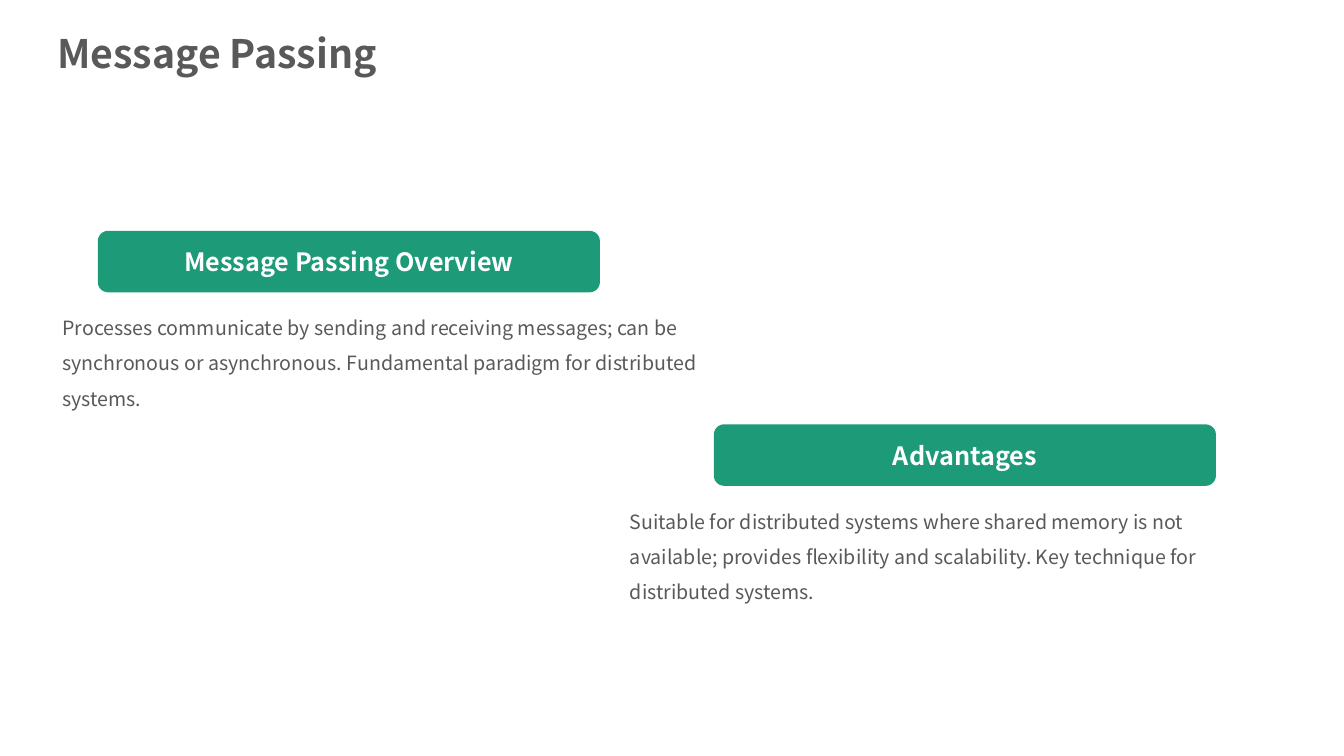
from pptx import Presentation
from pptx.dml.color import RGBColor
from pptx.enum.shapes import MSO_SHAPE
from pptx.enum.text import MSO_ANCHOR, MSO_AUTO_SIZE, PP_ALIGN
from pptx.util import Inches, Pt

ROUNDED = MSO_SHAPE.ROUNDED_RECTANGLE
TOP, MIDDLE = MSO_ANCHOR.TOP, MSO_ANCHOR.MIDDLE
LEFT, CENTER = PP_ALIGN.LEFT, PP_ALIGN.CENTER
GROW, FIXED = MSO_AUTO_SIZE.SHAPE_TO_FIT_TEXT, MSO_AUTO_SIZE.NONE

FONT = "Noto Sans CJK SC"
COLORS = {"green": "1D9A78", "gray": "595959", "white": "FFFFFF"}
TITLE = "Message Passing"
SECTIONS = [
    {"heading": "Message Passing Overview",
     "body": "Processes communicate by sending and receiving messages; can be "
             "synchronous or asynchronous. Fundamental paradigm for distributed systems.",
     "bar_left": 0.97, "body_left": 0.52},
    {"heading": "Advantages",
     "body": "Suitable for distributed systems where shared memory is not available; "
             "provides flexibility and scalability. Key technique for distributed systems.",
     "bar_left": 7.08, "body_left": 6.15},
]
FIRST_TOP, STEP = 2.29, 1.92
BAR_W, BAR_H = 4.98, 0.61
BODY_W, BODY_H, BODY_DROP = 6.5, 0.88, 0.68


def box(left, top, width, height):
    return [Inches(v) for v in (left, top, width, height)]


def write(sp, text, size, color, bold=False, align=LEFT, anchor=TOP, fit=GROW, spacing=1.0):
    tf = sp.text_frame
    tf.word_wrap = True
    tf.auto_size = fit
    tf.vertical_anchor = anchor
    p = tf.paragraphs[0]
    p.alignment = align
    p.line_spacing = spacing
    r = p.add_run()
    r.text = text
    r.font.name = FONT
    r.font.size = Pt(size)
    r.font.bold = bold
    r.font.color.rgb = RGBColor.from_string(COLORS[color])


prs = Presentation()
prs.slide_width, prs.slide_height = Inches(13.33), Inches(7.5)
s = prs.slides.add_slide(prs.slide_layouts[5])

title = s.shapes.title
title.left, title.top, title.width, title.height = box(0.47, 0.24, 9.45, 0.57)
write(title, TITLE, 28, "gray", bold=True)

for i, section in enumerate(SECTIONS):
    top = FIRST_TOP + i * STEP
    bar = s.shapes.add_shape(ROUNDED, *box(section["bar_left"], top, BAR_W, BAR_H))
    bar.adjustments[0] = 0.167
    bar.shadow.inherit = False
    bar.fill.solid()
    bar.fill.fore_color.rgb = RGBColor.from_string(COLORS["green"])
    bar.line.fill.background()
    write(bar, section["heading"], 18, "white", bold=True, align=CENTER, anchor=MIDDLE, fit=FIXED)
    body = s.shapes.add_textbox(*box(section["body_left"], top + BODY_DROP, BODY_W, BODY_H))
    write(body, section["body"], 14, "gray", spacing=1.5)

prs.save("out.pptx")
